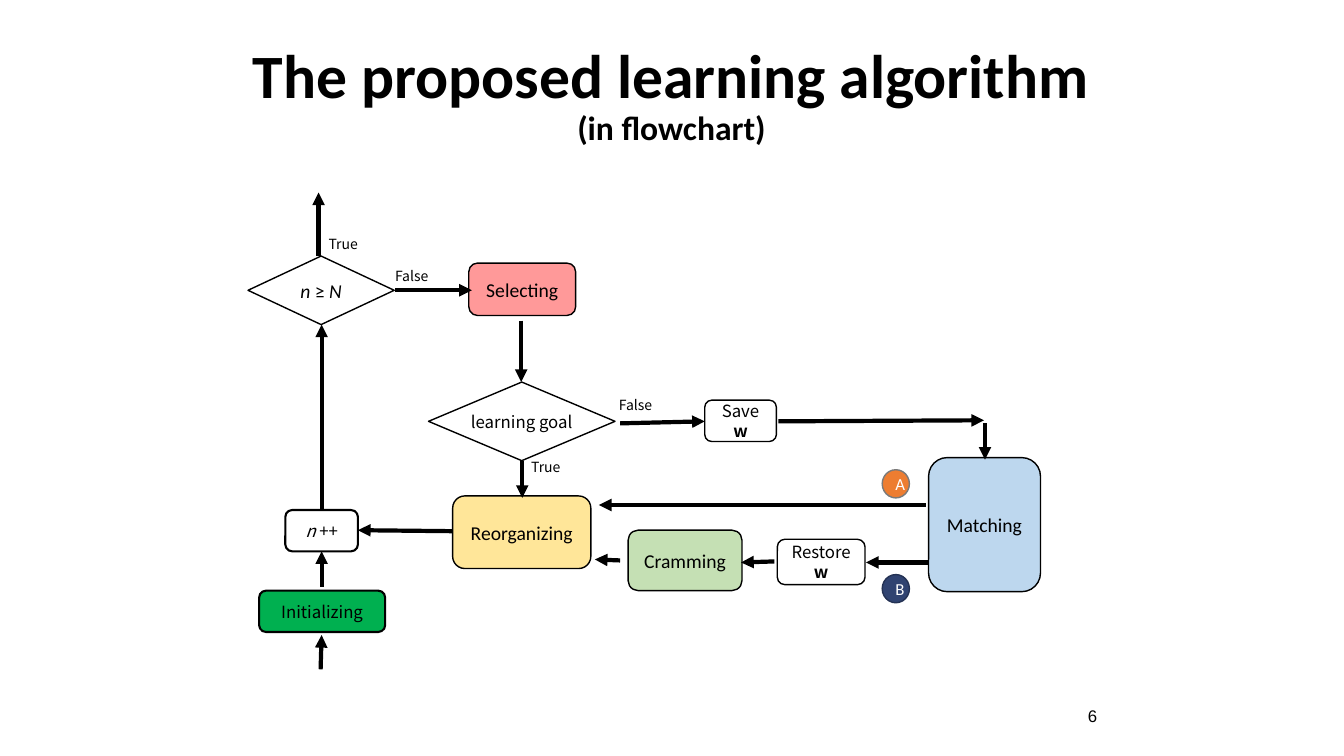
from pptx import Presentation
from pptx import util as u
from pptx.dml.color import RGBColor
from pptx.enum import shapes, text
from pptx.oxml.ns import qn
from lxml import etree

HUES = {
    "black": "000000", "white": "FFFFFF", "red": "FF9999", "blue": "BDD7EE",
    "green": "C5E0B4", "gold": "FFE699", "start": "00B050", "navy": "304371",
    "ink": "243254", "orange": "ED7D31", "gray": "7A7A7A",
}
TC, SC, CAL = "Noto Sans CJK TC", "Noto Sans CJK SC", "Calibri"
KINDS = shapes.MSO_SHAPE
ROUND, GEM, DISC = KINDS.ROUNDED_RECTANGLE, KINDS.DIAMOND, KINDS.OVAL
ALIGN = text.PP_ALIGN

TITLE = [("The proposed learning algorithm", 44), ("(in flowchart)", 24)]
STEPS = [
    ((2.83, 5.06, 0.72, 0.41), "white", 1.5, [("n", "i"), (" ++", "")], 12, TC),
    ((6.99, 3.97, 0.71, 0.41), "white", 1, [("Save ", ""), ("w", "b")], 12, TC),
    ((9.21, 4.54, 1.11, 1.33), "blue", 1, [("Matching", "")], 14, CAL),
    ((6.23, 5.26, 1.13, 0.6), "green", 1, [("Cramming", "")], 14, CAL),
    ((7.71, 5.35, 0.87, 0.45), "white", 1, [("Restore ", ""), ("w", "b")], 12, TC),
    ((4.65, 2.61, 1.06, 0.52), "red", 1, [("Selecting", "")], 14, CAL),
    ((4.49, 4.92, 1.37, 0.72), "gold", 1, [("Reorganizing", "")], 14, CAL),
    ((2.57, 5.86, 1.25, 0.41), "start", 1.5, [("Initializing", "")], 12, TC),
]
TESTS = [
    ((2.46, 2.54, 1.45, 0.68), [("n ", "i"), ("≥ ", ""), ("N", "i")], 14, CAL),
    ((4.25, 3.79, 1.85, 0.78), [("learning goal", "")], 12, SC),
]
MARKS = [("A", 4.66, "orange", "gray"), ("B", 5.7, "navy", "ink")]
LABELS = [("False", 6.04, 3.88), ("True", 5.17, 4.5),
          ("False", 3.82, 2.6), ("True", 3.16, 2.29)]
ARROWS = [
    (5.18, 4.57, 5.18, 4.94), (3.92, 2.88, 4.68, 2.88), (3.19, 5.06, 3.19, 3.22),
    (6.15, 4.2, 6.99, 4.18), (7.72, 4.18, 9.76, 4.17), (6.15, 5.56, 5.9, 5.55),
    (3.19, 5.82, 3.19, 5.47), (4.49, 5.27, 3.55, 5.26), (9.18, 5.01, 5.94, 5.01),
    (7.68, 5.57, 7.35, 5.58), (9.21, 5.58, 8.59, 5.58), (5.17, 3.18, 5.17, 3.79),
    (3.16, 2.54, 3.16, 1.91), (9.77, 4.2, 9.77, 4.56), (3.18, 6.64, 3.19, 6.3),
]

deck = Presentation()
deck.slide_width, deck.slide_height = u.Inches(13.33), u.Inches(7.5)
slide = deck.slides.add_slide(deck.slide_layouts[6])


def tone(name):
    return RGBColor.from_string(HUES[name])


def inch(nums):
    return [u.Inches(n) for n in nums]


def write(para, runs, size, face, hue="black", align=ALIGN.CENTER):
    para.alignment = align
    for words, style in runs:
        run = para.add_run()
        run.text = words
        font = run.font
        font.size, font.name = u.Pt(size), face
        font.bold, font.italic = "b" in style, "i" in style
        font.color.rgb = tone(hue)


def node(kind, box, fill, edge, width, pad=(0.1, 0.05), wrap=True):
    shape = slide.shapes.add_shape(kind, *inch(box))
    shape.shadow.inherit = False
    shape.fill.solid()
    shape.fill.fore_color.rgb = tone(fill)
    shape.line.color.rgb = tone(edge)
    shape.line.width = u.Pt(width)
    frame = shape.text_frame
    frame.word_wrap = wrap
    frame.vertical_anchor = text.MSO_ANCHOR.MIDDLE
    frame.margin_left = frame.margin_right = u.Inches(pad[0])
    frame.margin_top = frame.margin_bottom = u.Inches(pad[1])
    return frame.paragraphs[0]


def plain(box):
    frame = slide.shapes.add_textbox(*inch(box)).text_frame
    frame.word_wrap = True
    return frame


def arrow(ends):
    link = slide.shapes.add_connector(shapes.MSO_CONNECTOR.STRAIGHT, *inch(ends))
    link.line.color.rgb = tone("black")
    link.line.width = u.Pt(3)
    etree.SubElement(link.line._get_or_add_ln(), qn("a:tailEnd"), type="triangle")
    etree.SubElement(link._element.spPr, qn("a:effectLst"))


for box, fill, width, runs, size, face in STEPS:
    write(node(ROUND, box, fill, "black", width), runs, size, face)
for box, runs, size, face in TESTS:
    para = node(GEM, box, "white", "black", 1, (0.05, 0.05), False)
    write(para, runs, size, face)
for ends in ARROWS:
    arrow(ends)
for name, top, fill, edge in MARKS:
    para = node(DISC, (8.75, top, 0.27, 0.28), fill, edge, 1)
    write(para, [(name, "")], 12, CAL, "white")
for words, left, top in LABELS:
    para = plain((left, top, 0.55, 0.27)).paragraphs[0]
    write(para, [(words, "")], 10, TC, align=ALIGN.LEFT)

head = plain((2.35, 0.4, 8.62, 1.45))
for row, (words, size) in enumerate(TITLE):
    para = head.add_paragraph() if row else head.paragraphs[0]
    para.line_spacing = 0.9
    write(para, [(words, "b")], size, CAL)
page = plain((8.73, 6.95, 2.25, 0.4)).paragraphs[0]
write(page, [("6", "")], 12, "Arial", align=ALIGN.RIGHT)

deck.save("out.pptx")
